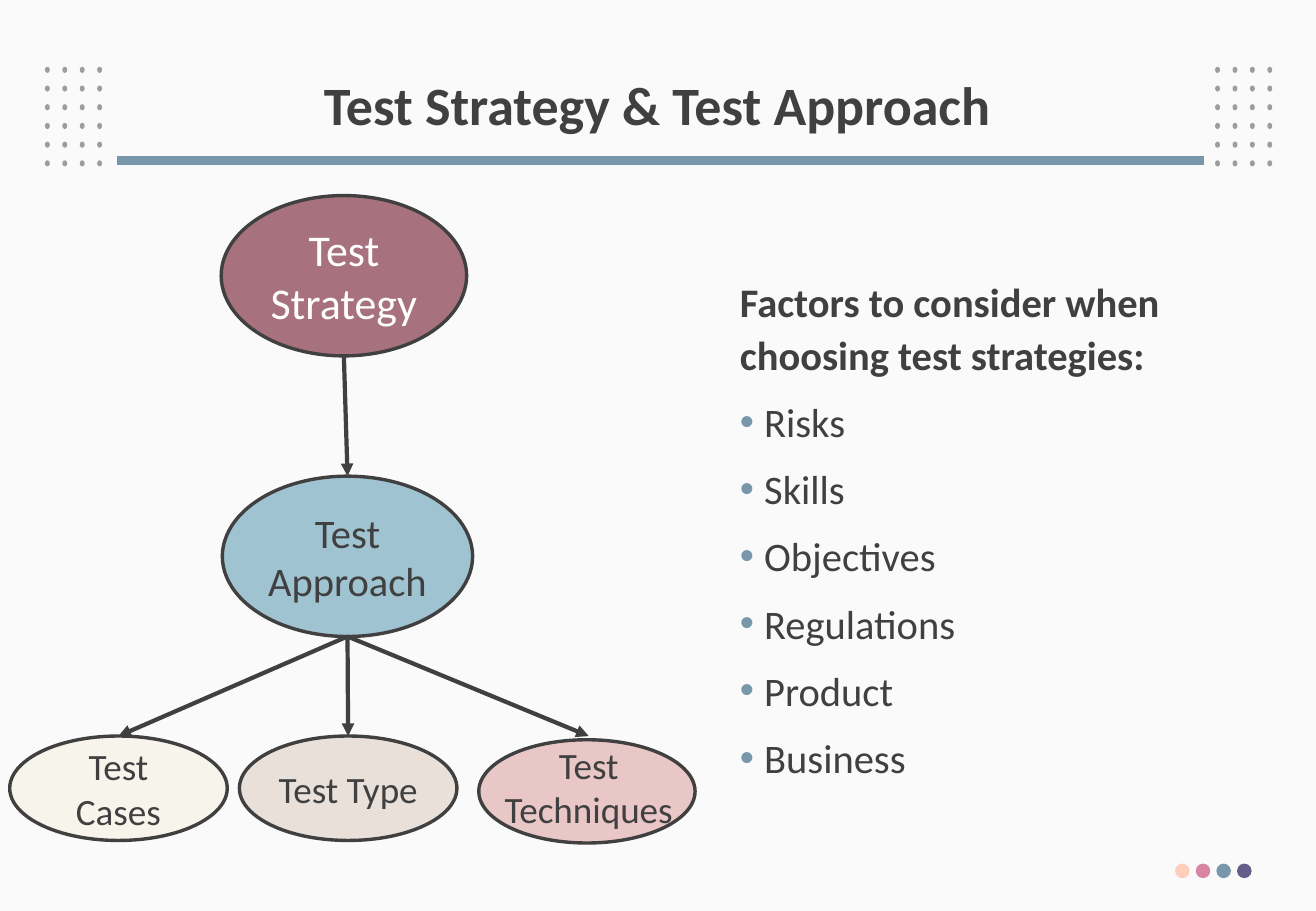
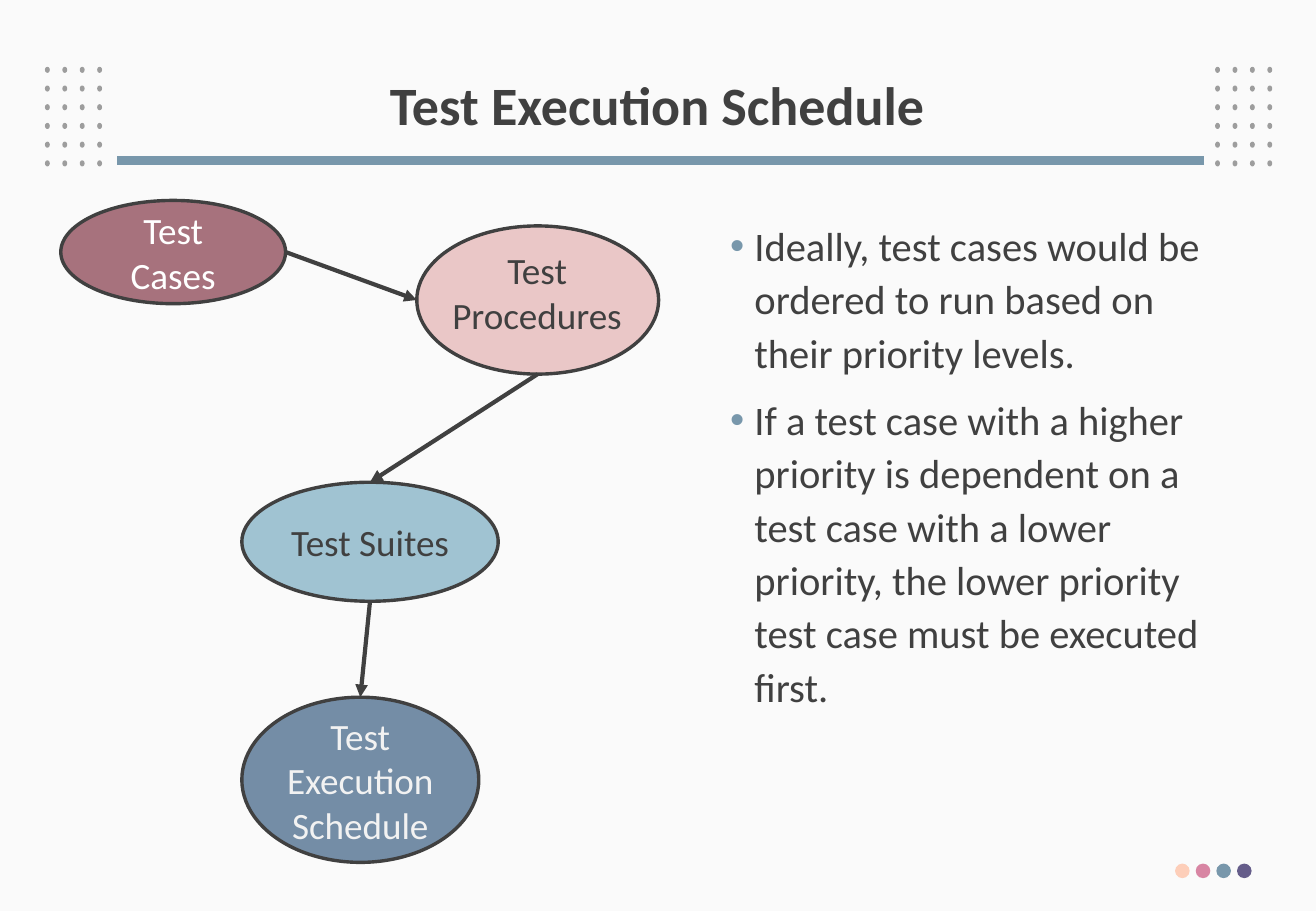
from lxml import etree
from pptx import Presentation
from pptx import util as u
from pptx.dml import color
from pptx.enum import shapes, text
from pptx.oxml import ns

COLORS = {
    "background": "FAFAFA",
    "ink": "404040",
    "white": "FFFFFF",
    "pale": "F2F2F2",
    "dot": "9D9D9D",
    "steel": "7897AB",
    "peach": "FDCEB9",
    "pink": "D885A3",
    "violet": "655D8A",
    "plum": "A7727D",
    "sky": "A0C3D2",
    "cream": "F7F5EB",
    "sand": "EAE0DA",
    "rose": "EAC7C7",
    "slate": "748DA6",
}
FONT = "Calibri"
TOP, LEFT, BOTTOM, RIGHT = range(4)
NARROW_INSET = 0.04


def rgb(name):
    return color.RGBColor.from_string(COLORS[name])


def inches(*lengths):
    return [u.Inches(length) for length in lengths]


def add_xml(parent, tag, **attributes):
    return etree.SubElement(parent, ns.qn(tag), attributes)


class Deck:
    def __init__(self):
        self.presentation = Presentation()
        self.presentation.slide_width, self.presentation.slide_height = inches(10.83, 7.5)
        fill = self.presentation.slide_master.background.fill
        fill.solid()
        fill.fore_color.rgb = rgb("background")
        self.slide = None

    def add_slide(self, title):
        layout = self.presentation.slide_layouts[6]
        self.slide = self.presentation.slides.add_slide(layout)
        for left in (0.37, 10):
            self.dot_grid(left, 0.55)
        self.line((9.91, 1.32), (0.96, 1.32), "steel", 5.25)
        footer = self.slide.shapes.add_group_shape()
        for index, name in enumerate(("peach", "pink", "steel", "violet")):
            self.ellipse(footer, (9.67 + index * 0.17, 7.11, 0.12, 0.12), name)
        frame = self.text_box((0.74, 0.4, 9.34, 0.98)).text_frame
        frame.vertical_anchor = text.MSO_ANCHOR.MIDDLE
        paragraph = frame.paragraphs[0]
        paragraph.line_spacing = 0.9
        self.add_run(paragraph, title, 32, bold=True, centered=True)

    def dot_grid(self, left, top, columns=4, rows=6):
        group = self.slide.shapes.add_group_shape()
        across, down = 0.43 / (columns - 1), 0.77 / (rows - 1)
        for row in range(rows):
            for column in range(columns):
                place = (left + column * across, top + row * down, 0.04, 0.05)
                self.ellipse(group, place, "dot")

    def ellipse(self, owner, place, fill):
        shape = owner.shapes.add_shape(shapes.MSO_SHAPE.OVAL, *inches(*place))
        shape.shadow.inherit = False
        shape.fill.solid()
        shape.fill.fore_color.rgb = rgb(fill)
        shape.line.fill.background()
        return shape

    def node(self, place, fill, label="", size=22, ink="ink", inset=NARROW_INSET):
        shape = self.ellipse(self.slide, place, fill)
        shape.line.color.rgb = rgb("ink")
        shape.line.width = u.Pt(2)
        if label:
            frame = shape.text_frame
            frame.word_wrap = True
            frame.vertical_anchor = text.MSO_ANCHOR.MIDDLE
            frame.margin_left = frame.margin_right = u.Inches(inset)
            self.add_run(frame.paragraphs[0], label, size, ink, centered=True)
        return shape

    def text_box(self, place):
        shape = self.slide.shapes.add_textbox(*inches(*place))
        shape.text_frame.word_wrap = True
        return shape

    def label(self, place, words):
        shape = self.text_box(place)
        self.add_run(shape.text_frame.paragraphs[0], words, 22, centered=True)
        return shape

    def add_run(self, paragraph, words, size, ink="ink", bold=False, centered=False):
        if centered:
            paragraph.alignment = text.PP_ALIGN.CENTER
        run = paragraph.add_run()
        run.text = words
        run.font.name = FONT
        run.font.size = u.Pt(size)
        run.font.bold = bold
        run.font.color.rgb = rgb(ink)

    def body(self, place, bullets, heading=None):
        frame = self.text_box(place).text_frame
        lines = ([heading] if heading else []) + bullets
        for index, words in enumerate(lines):
            paragraph = frame.add_paragraph() if index else frame.paragraphs[0]
            paragraph.line_spacing = 1.1
            paragraph.space_before = u.Pt(8.1)
            is_heading = words == heading
            self.add_run(paragraph, words, 24, bold=is_heading)
            if not is_heading:
                self.bullet(paragraph)

    def bullet(self, paragraph):
        properties = paragraph._p.get_or_add_pPr()
        indent = u.Inches(0.2)
        properties.set("marL", str(indent))
        properties.set("indent", str(-indent))
        add_xml(add_xml(properties, "a:buClr"), "a:srgbClr", val=COLORS["steel"])
        add_xml(properties, "a:buFont", typeface="Arial")
        add_xml(properties, "a:buChar", char="•")

    def line(self, start, end, name, width):
        connector = self.slide.shapes.add_connector(
            shapes.MSO_CONNECTOR.STRAIGHT, *inches(*start, *end))
        connector.line.color.rgb = rgb(name)
        connector.line.width = u.Pt(width)
        add_xml(connector.element.spPr, "a:effectLst")
        return connector

    def arrow(self, source, source_side, target, target_side):
        connector = self.line((0, 0), (1, 1), "ink", 2.5)
        connector.begin_connect(source, source_side)
        connector.end_connect(target, target_side)
        for tag, shape, side in (("a:stCxn", source, source_side),
                                 ("a:endCxn", target, target_side)):
            if shape.shape_type == shapes.MSO_SHAPE_TYPE.AUTO_SHAPE:
                joint = next(connector.element.iter(ns.qn(tag)))
                joint.set("idx", str(side * 2))
        outline = connector.element.spPr.find(ns.qn("a:ln"))
        add_xml(outline, "a:tailEnd", type="triangle")


def strategy_slide(deck):
    deck.add_slide("Test Strategy & Test Approach")
    deck.body(
        (5.99, 2.19, 4.71, 4.76),
        ["Risks", "Skills", "Objectives", "Regulations", "Product", "Business"],
        heading="Factors to consider when choosing test strategies:")
    strategy = deck.node((1.82, 1.61, 2.02, 1.32), "plum", "Test Strategy", 26, "white", 0.1)
    approach = deck.node((1.83, 3.92, 2.06, 1.32), "sky", "Test Approach", 24)
    cases = deck.node((0.08, 6.06, 1.79, 0.86), "cream", "Test Cases")
    kind = deck.node((1.97, 6.06, 1.79, 0.86), "sand", "Test Type")
    deck.node((3.94, 6.09, 1.78, 0.85), "rose")
    techniques = deck.label((4.03, 6.06, 1.63, 0.84), "Test Techniques")
    deck.arrow(strategy, BOTTOM, approach, TOP)
    for target in (cases, kind, techniques):
        deck.arrow(approach, BOTTOM, target, TOP)


def schedule_slide(deck):
    deck.add_slide("Test Execution Schedule")
    deck.body((5.91, 1.73, 4.25, 5.03), [
        "Ideally, test cases would be ordered to run based on their priority levels.",
        "If a test case with a higher priority is dependent on a test case with a lower "
        "priority, the lower priority test case must be executed first.",
    ])
    cases = deck.node((0.5, 1.65, 1.85, 0.85), "plum", "Test Cases", ink="white", inset=0.1)
    suites = deck.node((1.99, 3.97, 2.11, 0.98), "sky", "Test Suites")
    schedule = deck.node((1.99, 5.74, 1.95, 1.36), "slate", "Test Execution Schedule", ink="pale")
    procedures = deck.node((3.43, 1.86, 1.99, 1.22), "rose")
    deck.label((3.51, 1.99, 1.82, 1.2), "Test Procedures")
    deck.arrow(cases, RIGHT, procedures, LEFT)
    deck.arrow(procedures, BOTTOM, suites, TOP)
    deck.arrow(suites, BOTTOM, schedule, TOP)


def main():
    deck = Deck()
    strategy_slide(deck)
    schedule_slide(deck)
    deck.presentation.save("out.pptx")


if __name__ == "__main__":
    main()
